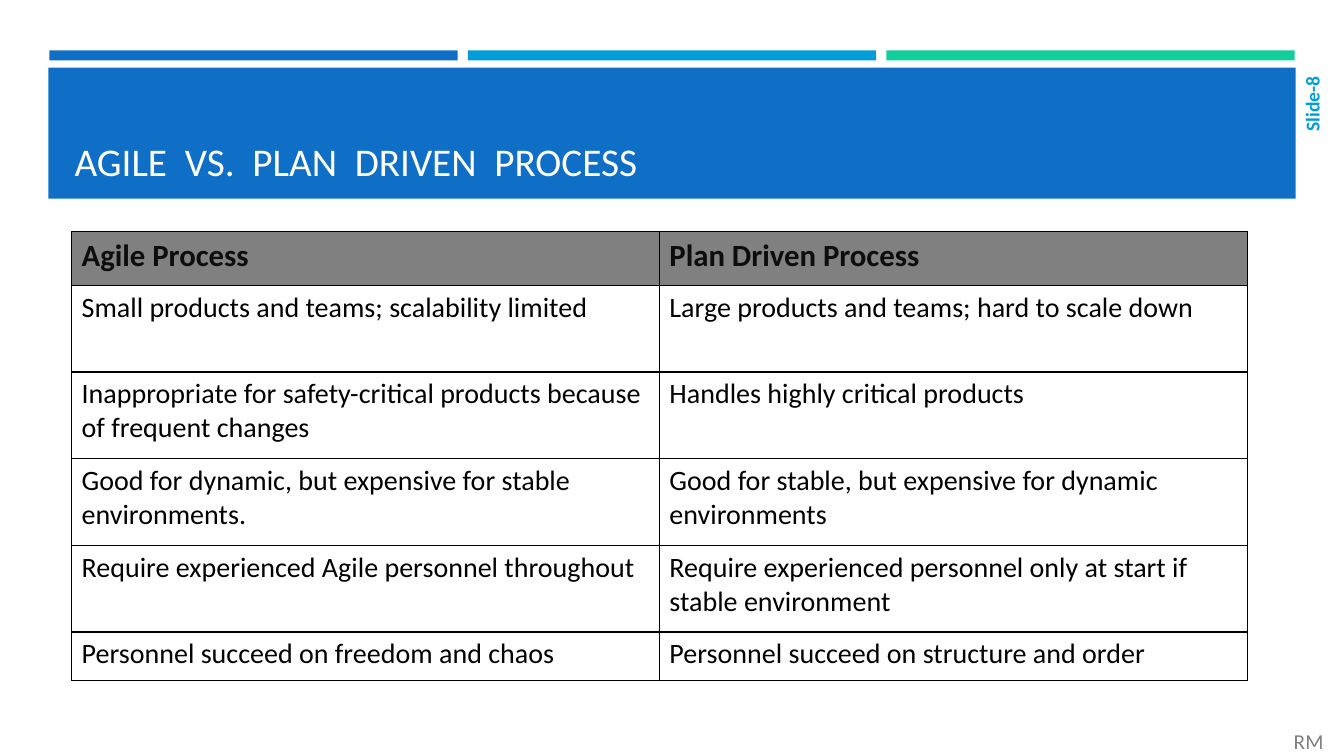
from lxml import etree
from pptx import Presentation
from pptx.dml.color import RGBColor
from pptx.enum.shapes import MSO_SHAPE
from pptx.enum.text import MSO_ANCHOR, PP_ALIGN
from pptx.oxml.ns import qn
from pptx.util import Inches, Pt

RECTANGLE = MSO_SHAPE.RECTANGLE
MIDDLE, BOTTOM = MSO_ANCHOR.MIDDLE, MSO_ANCHOR.BOTTOM
LEFT, CENTER, RIGHT = PP_ALIGN.LEFT, PP_ALIGN.CENTER, PP_ALIGN.RIGHT
TITLE_ONLY = 5

COLORS = {
    "blue": "0F6FC6",
    "sky": "009DD9",
    "green": "10CF9B",
    "white": "FFFFFF",
    "black": "000000",
    "ink": "0D0D0D",
    "gray": "808080",
}

ROW_HEIGHTS = [0.53, 0.86, 0.86, 0.86, 0.86, 0.48]
COMPARISON = [
    ("Agile Process", "Plan Driven Process"),
    ("Small products and teams; scalability limited",
     "Large products and teams; hard to scale down"),
    ("Inappropriate for safety-critical products because of frequent changes",
     "Handles highly critical products"),
    ("Good for dynamic, but expensive for stable environments.",
     "Good for stable, but expensive for dynamic environments"),
    ("Require experienced Agile personnel throughout",
     "Require experienced personnel only at start if stable environment"),
    ("Personnel succeed on freedom and chaos",
     "Personnel succeed on structure and order"),
]


class SlideBuilder:
    font = "Calibri"

    def __init__(self, page):
        self.page = page

    def color(self, name):
        return RGBColor.from_string(COLORS[name])

    def set_text(self, frame, text, size, color, bold=False, align=LEFT):
        frame.word_wrap = True
        para = frame.paragraphs[0]
        para.text = text
        para.alignment = align
        para.font.name = self.font
        para.font.size = Pt(size)
        para.font.bold = bold
        para.font.color.rgb = self.color(color)

    def bar(self, left, top, width, height, color):
        box = self.page.shapes.add_shape(
            RECTANGLE, Inches(left), Inches(top), Inches(width), Inches(height))
        box.shadow.inherit = False
        box.fill.solid()
        box.fill.fore_color.rgb = self.color(color)
        box.line.fill.background()

    def title(self, left, top, width, height, text):
        box = self.page.shapes.title
        box.left, box.top = Inches(left), Inches(top)
        box.width, box.height = Inches(width), Inches(height)
        box.text_frame.vertical_anchor = BOTTOM
        self.set_text(box.text_frame, text, 28, "white")
        self.page.shapes.element.append(box.element)

    def label(self, left, top, width, height, text, size, color,
              bold=False, align=CENTER, vertical=False):
        box = self.page.shapes.add_textbox(
            Inches(left), Inches(top), Inches(width), Inches(height))
        box.text_frame.vertical_anchor = MIDDLE
        self.set_text(box.text_frame, text, size, color, bold, align)
        if vertical:
            box.element.txBody.bodyPr.set("vert", "vert270")

    def border(self, cell):
        properties = cell._tc.get_or_add_tcPr()
        for side in ("lnL", "lnR", "lnT", "lnB"):
            line = etree.SubElement(properties, qn(f"a:{side}"), w=str(Pt(1)))
            fill = etree.SubElement(line, qn("a:solidFill"))
            etree.SubElement(fill, qn("a:srgbClr"), val=COLORS["black"])

    def table(self, left, top, column_width, row_heights, rows):
        columns = len(rows[0])
        table = self.page.shapes.add_table(
            len(rows), columns, Inches(left), Inches(top),
            Inches(column_width * columns), Inches(sum(row_heights))).table
        table.horz_banding = False
        for column in table.columns:
            column.width = Inches(column_width)
        for index, (height, texts) in enumerate(zip(row_heights, rows)):
            table.rows[index].height = Inches(height)
            for cell, text in zip(table.rows[index].cells, texts):
                self.border(cell)
                if index == 0:
                    cell.fill.solid()
                    cell.fill.fore_color.rgb = self.color("gray")
                    self.set_text(cell.text_frame, text, 22, "ink", bold=True)
                else:
                    cell.fill.background()
                    self.set_text(cell.text_frame, text, 20, "black")


def main():
    deck = Presentation()
    deck.slide_width, deck.slide_height = Inches(13.33), Inches(7.5)
    page = deck.slides.add_slide(deck.slide_layouts[TITLE_ONLY])
    builder = SlideBuilder(page)

    for index, color in enumerate(("blue", "sky", "green")):
        builder.bar(0.49 + 4.15 * index, 0.5, 4.05, 0.1, color)
    builder.bar(0.48, 0.67, 12.37, 1.3, "blue")
    builder.title(0.64, 0.77, 12.06, 1.11, "AGILE  VS.  PLAN  DRIVEN  PROCESS")
    builder.label(12.87, 0.66, 0.28, 1.08, "Slide-8", 14, "sky",
                  bold=True, align=RIGHT, vertical=True)
    builder.table(0.71, 2.3, 5.83, ROW_HEIGHTS, COMPARISON)
    builder.label(12.63, 7.2, 0.7, 0.3, "RM", 15.2, "gray")

    deck.save("out.pptx")


if __name__ == "__main__":
    main()
